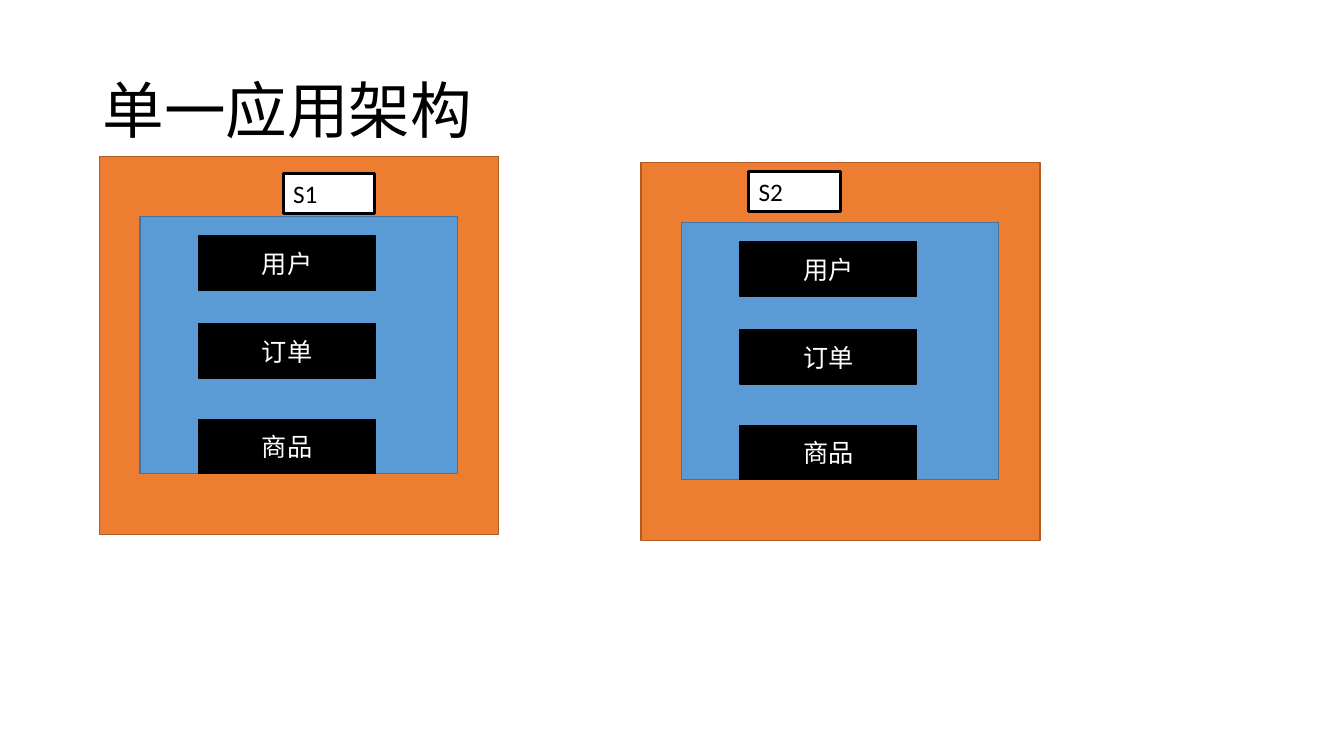
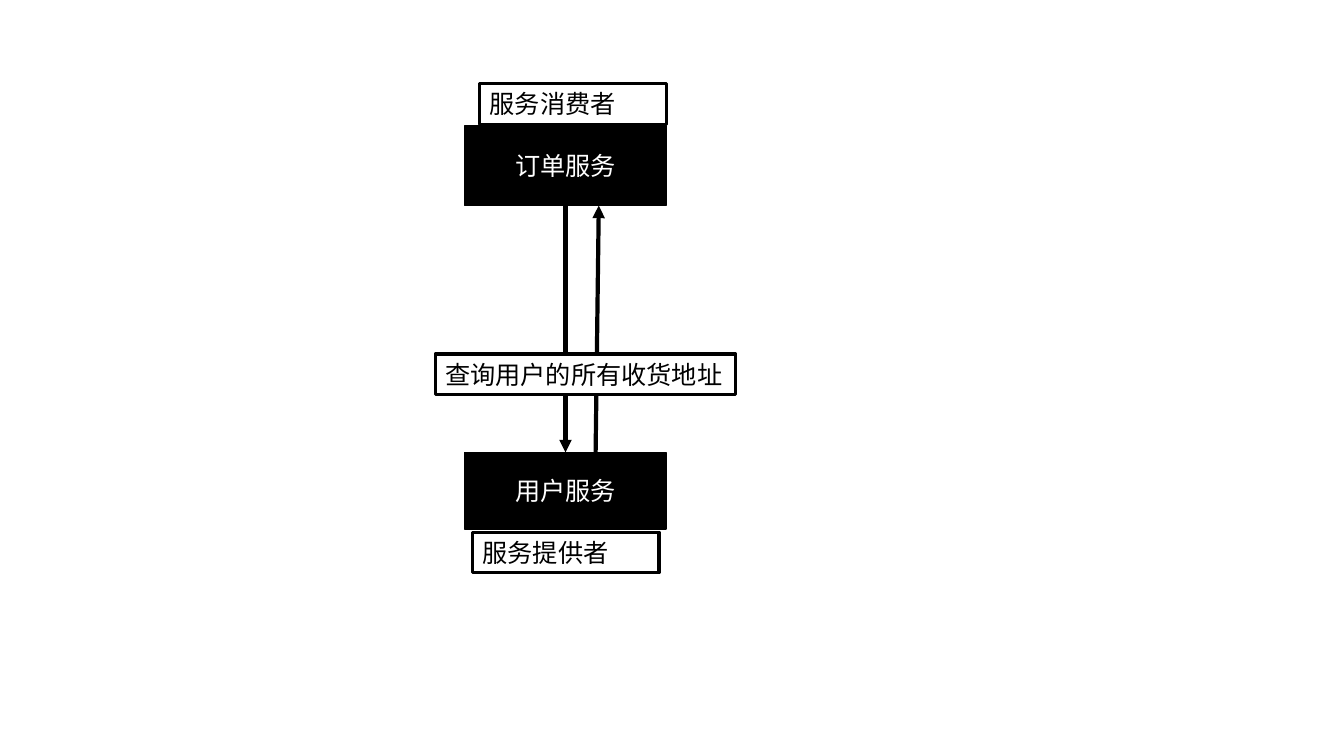
import pptx
import pptx.dml.color
import pptx.enum.shapes
import pptx.enum.text
import pptx.oxml.ns
import pptx.util
from lxml import etree
from pptx.util import Cm

COLORS = {
    "black": "000000",
    "white": "FFFFFF",
    "server": "ED7D31",
    "server_line": "AF5C24",
    "application": "5B9BD5",
    "application_line": "43739E",
}
FONT = "Calibri"
MODULES = [("用户", 2.01), ("订单", 4.22), ("商品", 6.63)]


# Shared text and shape styling
def color(name):
    return pptx.dml.color.RGBColor.from_string(COLORS[name])


def add_run(paragraph, text, size, color_name):
    run = paragraph.add_run()
    run.text = text
    run.font.name = FONT
    run.font.size = pptx.util.Pt(size)
    run.font.color.rgb = color(color_name)


def style_box(shape, fill, line, width):
    shape.fill.solid()
    shape.fill.fore_color.rgb = color(fill)
    shape.line.color.rgb = color(line)
    shape.line.width = pptx.util.Pt(width)


# Kinds of element
def add_title(slide, text):
    title = slide.shapes.title
    title.left, title.top = Cm(2.33), Cm(1.01)
    title.width, title.height = Cm(29.21), Cm(3.68)
    title.text_frame.vertical_anchor = pptx.enum.text.MSO_ANCHOR.MIDDLE
    paragraph = title.text_frame.paragraphs[0]
    paragraph.alignment = pptx.enum.text.PP_ALIGN.LEFT
    paragraph.line_spacing = 0.9
    add_run(paragraph, text, 44, "black")


def add_box(shapes, left, top, width, height, fill, line):
    box = shapes.add_shape(pptx.enum.shapes.MSO_SHAPE.RECTANGLE,
                           Cm(left), Cm(top), Cm(width), Cm(height))
    box.shadow.inherit = False
    style_box(box, fill, line, 1)
    return box


def add_service(shapes, text, left, top, width, height):
    service = add_box(shapes, left, top, width, height, "black", "black")
    service.text_frame.vertical_anchor = pptx.enum.text.MSO_ANCHOR.MIDDLE
    paragraph = service.text_frame.paragraphs[0]
    paragraph.alignment = pptx.enum.text.PP_ALIGN.CENTER
    add_run(paragraph, text, 18, "white")
    return service


def add_label(shapes, text, left, top, width, wrap=True):
    label = shapes.add_textbox(Cm(left), Cm(top), Cm(width), Cm(1.02))
    style_box(label, "white", "black", 2.25)
    label.text_frame.word_wrap = wrap
    label.text_frame.auto_size = pptx.enum.text.MSO_AUTO_SIZE.SHAPE_TO_FIT_TEXT
    add_run(label.text_frame.paragraphs[0], text, 18, "black")


def add_arrow(shapes, start_x, start_y, end_x, end_y):
    arrow = shapes.add_connector(pptx.enum.shapes.MSO_CONNECTOR.STRAIGHT,
                                 Cm(start_x), Cm(start_y), Cm(end_x), Cm(end_y))
    arrow.line.color.rgb = color("black")
    arrow.line.width = pptx.util.Pt(3)
    qualify = pptx.oxml.ns.qn
    etree.SubElement(arrow.line._get_or_add_ln(), qualify("a:tailEnd"), type="triangle")
    etree.SubElement(arrow._element.spPr, qualify("a:effectLst"))
    return arrow


def add_server(slide, left, top):
    add_box(slide.shapes, left, top, 10.06, 9.53, "server", "server_line")
    application = slide.shapes.add_group_shape().shapes
    add_box(application, left + 1.02, top + 1.52, 8, 6.48,
            "application", "application_line")
    for name, offset in MODULES:
        add_service(application, name, left + 2.5, top + offset, 4.45, 1.37)


# Slides
def build_single_application(presentation):
    slide = presentation.slides.add_slide(presentation.slide_layouts[5])
    add_title(slide, "单一应用架构")
    add_server(slide, 2.51, 3.94)
    add_server(slide, 16.15, 4.09)
    add_label(slide.shapes, "S1", 7.14, 4.37, 2.31)
    add_label(slide.shapes, "S2", 18.87, 4.32, 2.31)


def build_service_call(presentation):
    slide = presentation.slides.add_slide(presentation.slide_layouts[6])
    diagram = slide.shapes.add_group_shape().shapes
    order = add_service(diagram, "订单服务", 11.71, 3.18, 5.08, 2)
    user = add_service(diagram, "用户服务", 11.71, 11.4, 5.08, 1.93)
    request = add_arrow(diagram, 14.25, 5.18, 14.25, 11.4)
    request.begin_connect(order, 2)
    request.end_connect(user, 0)
    add_arrow(diagram, 15.01, 11.4, 15.09, 5.18)
    add_label(diagram, "查询用户的所有收货地址", 10.97, 8.92, 7.57, wrap=False)
    add_label(diagram, "服务提供者", 11.91, 13.41, 4.7)
    add_label(diagram, "服务消费者", 12.09, 2.11, 4.7)


def main():
    presentation = pptx.Presentation()
    presentation.slide_width = Cm(33.87)
    presentation.slide_height = Cm(19.05)
    build_single_application(presentation)
    build_service_call(presentation)
    presentation.save("out.pptx")


main()
